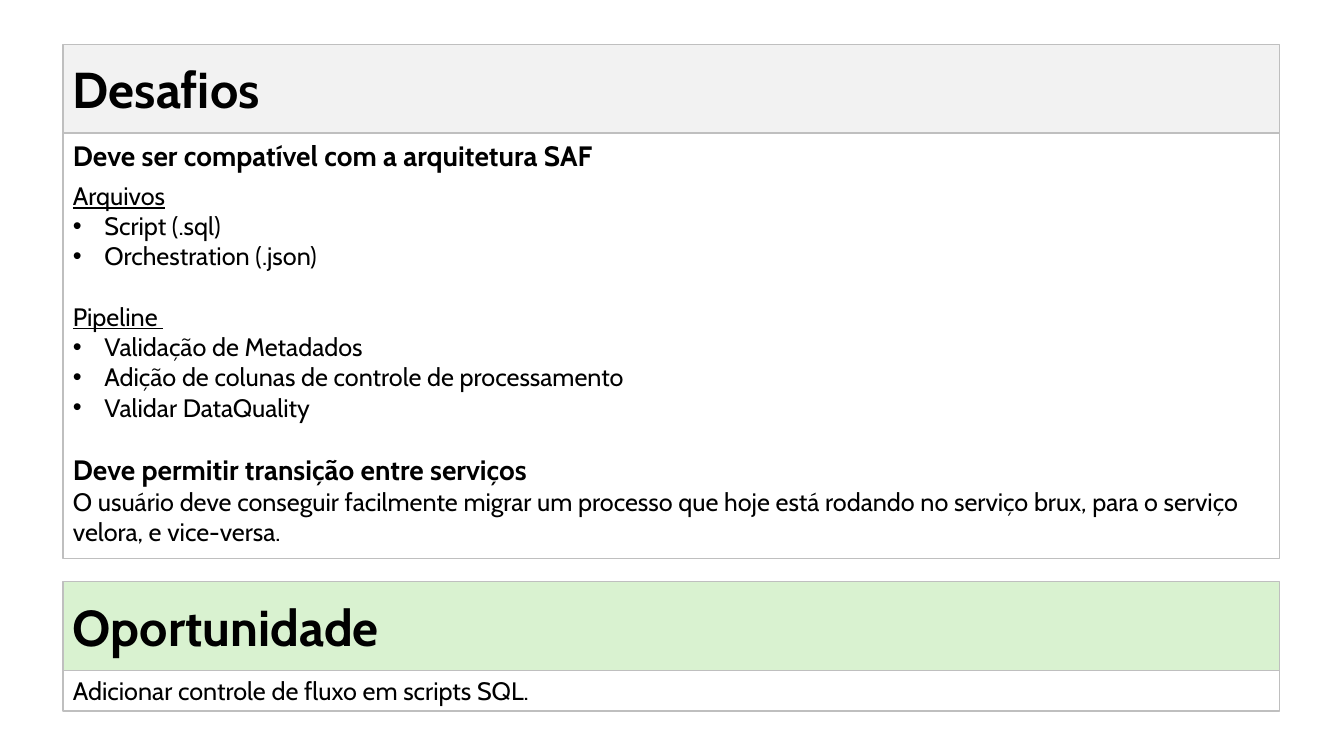
import pptx
import pptx.util
import pptx.dml.color
import pptx.enum.shapes
import pptx.enum.text
import pptx.oxml.ns
import lxml.etree

Pt = pptx.util.Pt

# Content: (style, text, space before in points)
CARDS = [
    {
        "title": "Desafios", "fill": "grey", "top": 31.7, "body_height": 303.8,
        "body": [
            ("heading", "Deve ser compatível com a arquitetura SAF", 0),
            ("label", "Arquivos", 6),
            ("bullet", "Script (.sql)", 0),
            ("bullet", "Orchestration (.json)", 0),
            ("label", "Pipeline ", 21.6),
            ("bullet", "Validação de Metadados", 0),
            ("bullet", "Adição de colunas de controle de processamento", 0),
            ("bullet", "Validar DataQuality", 0),
            ("heading", "Deve permitir transição entre serviços", 21.6),
            ("plain", "O usuário deve conseguir facilmente migrar um processo que hoje "
                      "está rodando no serviço brux, para o serviço velora, e vice-versa.", 0),
        ],
    },
    {
        "title": "Oportunidade", "fill": "green", "top": 415.4, "body_height": 29,
        "body": [("plain", "Adicionar controle de fluxo em scripts SQL.", 0)],
    },
]

COLORS = {"grey": "F2F2F2", "green": "D9F2D0", "border": "BFBFBF", "text": "000000"}
SIZES = {"title": 36, "heading": 20, "label": 18, "bullet": 18, "plain": 18}
FONT = "Cabin"
LEFT, WIDTH, HEADER_HEIGHT = 45, 869, 63.4
INDENT = 22.5


def color(name):
    return pptx.dml.color.RGBColor.from_string(COLORS[name])


def add_bullet(para):
    props = para._p.get_or_add_pPr()
    props.set("marL", str(Pt(INDENT)))
    props.set("indent", str(-Pt(INDENT)))
    for tag, key, value in (("a:buFont", "typeface", "Arial"), ("a:buChar", "char", "•")):
        lxml.etree.SubElement(props, pptx.oxml.ns.qn(tag)).set(key, value)


def add_box(group, top, height, lines, fill=None):
    box = group.shapes.add_shape(pptx.enum.shapes.MSO_SHAPE.RECTANGLE,
                                 Pt(LEFT), Pt(top), Pt(WIDTH), Pt(height))
    box.shadow.inherit = False
    box.line.color.rgb = color("border")
    box.line.width = Pt(1)
    if fill:
        box.fill.solid()
        box.fill.fore_color.rgb = color(fill)
    else:
        box.fill.background()

    frame = box.text_frame
    frame.word_wrap = True
    anchors = pptx.enum.text.MSO_ANCHOR
    frame.vertical_anchor = anchors.MIDDLE if fill else anchors.TOP
    for index, (style, text, space) in enumerate(lines):
        para = frame.add_paragraph() if index else frame.paragraphs[0]
        para.alignment = pptx.enum.text.PP_ALIGN.LEFT
        para.space_before = Pt(space)
        if style == "bullet":
            add_bullet(para)
        span = para.add_run()
        span.text = text
        span.font.name = FONT
        span.font.size = Pt(SIZES[style])
        span.font.bold = style in ("title", "heading")
        span.font.underline = style == "label"
        span.font.color.rgb = color("text")


def main():
    deck = pptx.Presentation()
    deck.slide_width, deck.slide_height = Pt(960), Pt(540)
    page = deck.slides.add_slide(deck.slide_layouts[6])

    # Each card is a filled header above an open body
    for card in CARDS:
        group = page.shapes.add_group_shape()
        add_box(group, card["top"], HEADER_HEIGHT, [("title", card["title"], 0)], card["fill"])
        add_box(group, card["top"] + HEADER_HEIGHT, card["body_height"], card["body"])

    deck.save("out.pptx")


if __name__ == "__main__":
    main()
